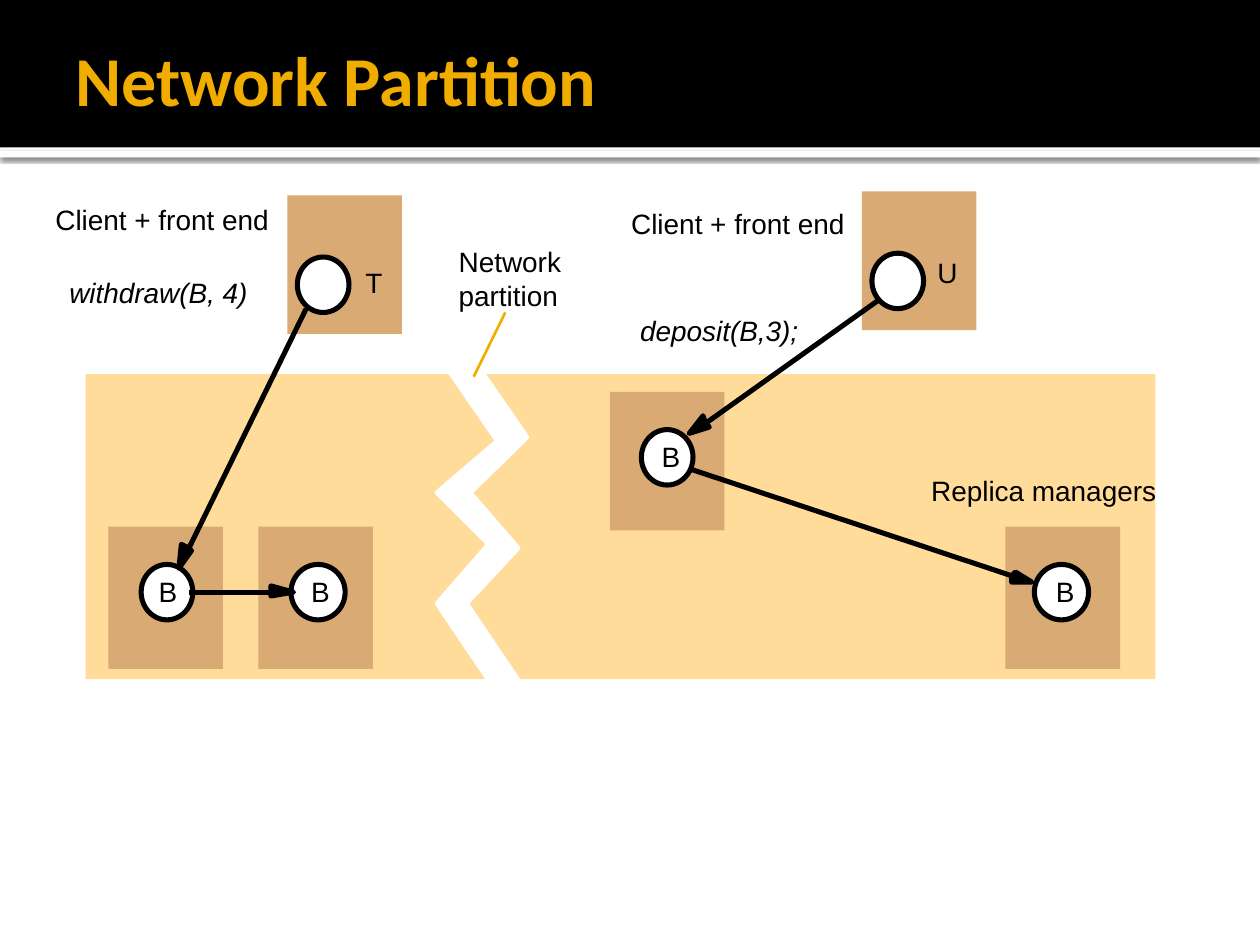
from dataclasses import dataclass
from lxml import etree
from pptx import Presentation
from pptx.dml.color import RGBColor
from pptx.enum.shapes import MSO_CONNECTOR, MSO_SHAPE
from pptx.enum.text import MSO_ANCHOR, MSO_AUTO_SIZE, PP_ALIGN
from pptx.oxml.ns import qn
from pptx.util import Inches, Pt


@dataclass(frozen=True)
class Theme:
    black: str = "000000"
    white: str = "FFFFFF"
    gold: str = "F0AD00"
    region: str = "FFDC99"
    machine: str = "D9AA73"
    title_font: str = "Calibri"
    label_font: str = "Arial"
    title_size: float = 40
    label_size: float = 16
    stroke: float = 2.88
    thin_stroke: float = 1.5


class Diagram:
    def __init__(self, slide, theme):
        self.slide = slide
        self.theme = theme

    def paint(self, shape, fill, line=None):
        shape.shadow.inherit = False
        shape.fill.solid()
        shape.fill.fore_color.rgb = RGBColor.from_string(fill)
        if line:
            shape.line.color.rgb = RGBColor.from_string(line)
            shape.line.width = Pt(self.theme.stroke)
        else:
            shape.line.fill.background()
        return shape

    def preset(self, kind, box, fill, line=None):
        shape = self.slide.shapes.add_shape(kind, *map(Inches, box))
        return self.paint(shape, fill, line)

    def rectangle(self, box, fill):
        return self.preset(MSO_SHAPE.RECTANGLE, box, fill)

    def outline(self, points, color):
        start, *rest = [tuple(map(Inches, point)) for point in points]
        builder = self.slide.shapes.build_freeform(*start)
        builder.add_line_segments(rest, close=True)
        return self.paint(builder.convert_to_shape(), color, color)

    def line(self, start, end, color, width):
        connector = self.slide.shapes.add_connector(
            MSO_CONNECTOR.STRAIGHT, *map(Inches, (*start, *end)))
        connector.line.color.rgb = RGBColor.from_string(color)
        connector.line.width = Pt(width)
        properties = connector.element.find(qn("p:spPr"))
        etree.SubElement(properties, qn("a:effectLst"))

    def arrow(self, start, head):
        self.outline(head, self.theme.black)
        self.line(start, head[0], self.theme.black, self.theme.stroke)

    def run(self, paragraph, text, font, size, color, bold=False, italic=False):
        run = paragraph.add_run()
        run.text = text
        run.font.name = font
        run.font.size = Pt(size)
        run.font.bold = bold
        run.font.italic = italic
        run.font.color.rgb = RGBColor.from_string(color)

    def label(self, text, left, top, width, italic=False):
        theme = self.theme
        label = self.slide.shapes.add_textbox(
            *map(Inches, (left, top, width, 0.27)))
        frame = label.text_frame
        frame.margin_left = frame.margin_right = 0
        frame.margin_top = frame.margin_bottom = 0
        frame.word_wrap = False
        frame.auto_size = MSO_AUTO_SIZE.SHAPE_TO_FIT_TEXT
        self.run(frame.paragraphs[0], text, theme.label_font,
                 theme.label_size, theme.black, italic=italic)

    def machine(self, name, box, circle, name_at):
        self.rectangle(box, self.theme.machine)
        self.preset(MSO_SHAPE.OVAL, (*circle, 0.44),
                    self.theme.white, self.theme.black)
        self.label(name, *name_at, 0.15)

    def header(self, text):
        theme = self.theme
        rule = self.rectangle((0, 1.2, 10, 0.05), theme.white)
        effects = rule.element.spPr.find(qn("a:effectLst"))
        shadow = etree.SubElement(
            effects, qn("a:outerShdw"), blurRad=str(Pt(2.5)),
            dist=str(Pt(0.8)), dir="5400000", algn="t", rotWithShape="0")
        color = etree.SubElement(shadow, qn("a:srgbClr"), val=theme.black)
        etree.SubElement(color, qn("a:alpha"), val="60000")
        self.rectangle((0, 0, 10, 1.17), theme.black)

        title = self.slide.shapes.title
        title.left, title.top, title.width, title.height = map(
            Inches, (0.5, 0.08, 9, 1.08))
        title.element.getparent().append(title.element)
        frame = title.text_frame
        frame.auto_size = MSO_AUTO_SIZE.NONE
        frame.word_wrap = True
        frame.vertical_anchor = MSO_ANCHOR.MIDDLE
        frame.margin_left = Inches(0.1)
        frame.margin_right = frame.margin_top = frame.margin_bottom = Inches(0.05)
        paragraph = frame.paragraphs[0]
        paragraph.alignment = PP_ALIGN.LEFT
        self.run(paragraph, text, theme.title_font, theme.title_size,
                 theme.gold, bold=True)


MACHINES = [
    ("T", (2.28, 1.55, 0.91, 1.1), (2.36, 2.04, 0.41), (2.9, 2.11)),
    ("U", (6.84, 1.52, 0.91, 1.1), (6.92, 2.01, 0.41), (7.44, 2.03)),
    ("B", (4.84, 3.11, 0.91, 1.1), (5.09, 3.41, 0.41), (5.25, 3.49)),
    ("B", (0.86, 4.18, 0.91, 1.13), (1.12, 4.48, 0.41), (1.26, 4.56)),
    ("B", (2.05, 4.18, 0.91, 1.13), (2.31, 4.48, 0.43), (2.47, 4.56)),
    ("B", (7.98, 4.18, 0.91, 1.13), (8.21, 4.48, 0.43), (8.38, 4.56)),
]
LABELS = [
    ("Client + front end", 0.44, 1.61, 1.7, False),
    ("Client + front end", 5.01, 1.64, 1.7, False),
    ("withdraw(B, 4)", 0.55, 2.19, 1.42, True),
    ("deposit(B,3);", 5.08, 2.49, 1.26, True),
    ("Network", 3.64, 1.94, 0.85, False),
    ("partition", 3.64, 2.21, 0.85, False),
    ("Replica managers", 7.39, 3.76, 1.79, False),
]
ARROWS = [
    ((2.43, 2.45), [(1.5, 4.35), (1.52, 4.37), (1.42, 4.51), (1.44, 4.32)]),
    ((1.5, 4.7), [(2.15, 4.7), (2.15, 4.65), (2.33, 4.7), (2.15, 4.73)]),
    ((6.99, 2.37), [(5.6, 3.36), (5.63, 3.39), (5.47, 3.44), (5.58, 3.3)]),
    ((5.47, 3.72), [(8.03, 4.57), (8.06, 4.54), (8.19, 4.62), (8.03, 4.62)]),
]
PARTITION = [
    (3.55, 2.92), (3.95, 3.5), (3.47, 3.91), (3.88, 4.32), (3.47, 4.79),
    (3.95, 5.5), (4.16, 5.47), (3.7, 4.79), (4.11, 4.35), (3.73, 3.91),
    (4.18, 3.47), (3.78, 2.89),
]


def main():
    deck = Presentation()
    deck.slide_width, deck.slide_height = Inches(10), Inches(7.5)
    theme = Theme()
    diagram = Diagram(deck.slides.add_slide(deck.slide_layouts[5]), theme)
    diagram.header("Network Partition")
    diagram.rectangle((0.68, 2.97, 8.49, 2.42), theme.region)
    for machine in MACHINES:
        diagram.machine(*machine)
    for label in LABELS:
        diagram.label(*label)
    for arrow in ARROWS:
        diagram.arrow(*arrow)
    diagram.outline(PARTITION, theme.white)
    diagram.line((4.01, 2.48), (3.76, 2.99), theme.gold, theme.thin_stroke)
    deck.save("out.pptx")


if __name__ == "__main__":
    main()
